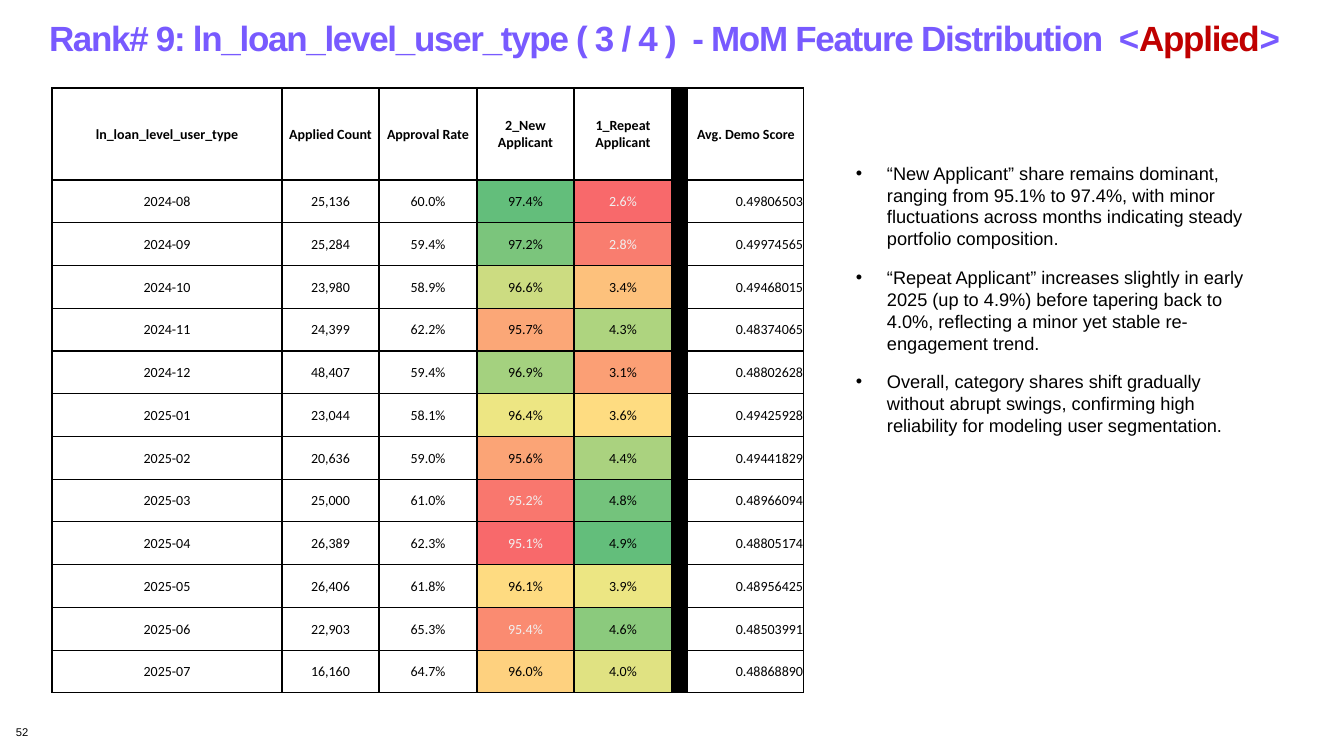
from lxml import etree
from pptx import Presentation
from pptx.dml.color import RGBColor
from pptx.enum.text import MSO_ANCHOR, MSO_AUTO_SIZE, PP_ALIGN
from pptx.oxml.ns import qn
from pptx.util import Pt

PX = 914400 / 100.8
TOP, MIDDLE = MSO_ANCHOR.TOP, MSO_ANCHOR.MIDDLE
LEFT, CENTER, RIGHT = PP_ALIGN.LEFT, PP_ALIGN.CENTER, PP_ALIGN.RIGHT
NO_FIT = MSO_AUTO_SIZE.NONE
BLACK, PALE, VIOLET, RED = "000000", "F1F1F1", "785AFF", "C00000"


def px(length):
    return round(length * PX)


def style(font, size, color, name="Arial", bold=False):
    for attribute, value in {"size": Pt(size), "name": name, "bold": bold}.items():
        setattr(font, attribute, value)
    font.color.rgb = RGBColor.from_string(color)


prs = Presentation()
prs.slide_width, prs.slide_height = px(1344), px(756)
slide = prs.slides.add_slide(prs.slide_layouts[1])
heading, findings = slide.placeholders
page_number = slide.shapes.add_textbox(0, 0, 0, 0)

for box, bounds, insets in (
    (heading, (49, 12, 1294, 51), (0, 0)),
    (findings, (846, 157, 423, 286), (10, 5)),
    (page_number, (16, 725, 294, 25), (0, 0)),
):
    box.left, box.top, box.width, box.height = map(px, bounds)
    frame = box.text_frame
    frame.word_wrap, frame.auto_size, frame.vertical_anchor = True, NO_FIT, TOP
    frame.margin_left = frame.margin_right = px(insets[0])
    frame.margin_top = frame.margin_bottom = px(insets[1])

# Heading
heading_line = heading.text_frame.paragraphs[0]
heading_line.alignment, heading_line.line_spacing = LEFT, 1.1
for words, color in (
    ("Rank# 9: ln_loan_level_user_type ( 3 / 4 )  - MoM Feature Distribution  <", VIOLET),
    ("Applied", RED),
    (">", VIOLET),
):
    run = heading_line.add_run()
    run.text = words
    style(run.font, 25, color, bold=True)
    run.font._element.set("spc", "-90")

# Findings
FINDINGS = (
    "“New Applicant” share remains dominant, ranging from 95.1% to 97.4%, with minor "
    "fluctuations across months indicating steady portfolio composition.",
    "“Repeat Applicant” increases slightly in early 2025 (up to 4.9%) before tapering back "
    "to 4.0%, reflecting a minor yet stable re-engagement trend.",
    "Overall, category shares shift gradually without abrupt swings, confirming high "
    "reliability for modeling user segmentation.",
)
findings.text_frame.text = "\n".join(FINDINGS)
for finding in findings.text_frame.paragraphs:
    properties = finding._p.get_or_add_pPr()
    properties.set("marL", str(px(31)))
    properties.set("indent", str(-px(31)))
    etree.SubElement(properties, qn("a:buFont"), typeface="Arial")
    etree.SubElement(properties, qn("a:buChar"), char="•")
    finding.space_before, finding.space_after = Pt(0), Pt(12)
    style(finding.font, 13, BLACK)

page_number.text_frame.text = "52"
style(page_number.text_frame.paragraphs[0].font, 8, BLACK)

# Monthly distribution table
HEADERS = ("ln_loan_level_user_type", "Applied Count", "Approval Rate",
           "2_New Applicant", "1_Repeat Applicant", "", "Avg. Demo Score")
# month, applied, approval, new share, repeat share, score, new fill, repeat fill
MONTHS = (
    ("2024-08", "25,136", "60.0%", "97.4%", "2.6%", "0.49806503", "63BE7B", "F8696B"),
    ("2024-09", "25,284", "59.4%", "97.2%", "2.8%", "0.49974565", "7BC57C", "F97D6F"),
    ("2024-10", "23,980", "58.9%", "96.6%", "3.4%", "0.49468015", "CCDC81", "FDC17C"),
    ("2024-11", "24,399", "62.2%", "95.7%", "4.3%", "0.48374065", "FBA777", "AED47F"),
    ("2024-12", "48,407", "59.4%", "96.9%", "3.1%", "0.48802628", "A4D17F", "FB9F75"),
    ("2025-01", "23,044", "58.1%", "96.4%", "3.6%", "0.49425928", "EDE683", "FEDC81"),
    ("2025-02", "20,636", "59.0%", "95.6%", "4.4%", "0.49441829", "FBA476", "AAD27F"),
    ("2025-03", "25,000", "61.0%", "95.2%", "4.8%", "0.48966094", "F9776E", "74C37C"),
    ("2025-04", "26,389", "62.3%", "95.1%", "4.9%", "0.48805174", "F8696B", "63BE7B"),
    ("2025-05", "26,406", "61.8%", "96.1%", "3.9%", "0.48956425", "FEDB81", "ECE683"),
    ("2025-06", "22,903", "65.3%", "95.4%", "4.6%", "0.48503991", "FA8B71", "8BCA7D"),
    ("2025-07", "16,160", "64.7%", "96.0%", "4.0%", "0.48868890", "FED17F", "E0E282"),
)
COLUMN_WIDTHS = (230, 97, 98, 97, 98, 16, 116)
HEADER_HEIGHT, MONTHS_HEIGHT = 92, 513
NEW, REPEAT, DIVIDER, SCORE = 3, 4, 5, 6

distribution = slide.shapes.add_table(
    len(MONTHS) + 1, len(HEADERS), px(52), px(88),
    px(sum(COLUMN_WIDTHS)), px(HEADER_HEIGHT + MONTHS_HEIGHT)).table
distribution.first_row = distribution.horz_banding = False
for column, width in zip(distribution.columns, COLUMN_WIDTHS):
    column.width = px(width)
for row in distribution.rows:
    row.height = px(MONTHS_HEIGHT) // len(MONTHS)
distribution.rows[0].height = px(HEADER_HEIGHT)

rows = [(HEADERS, {DIVIDER: BLACK})]
for *values, score, new_fill, repeat_fill in MONTHS:
    rows.append(((*values, "", score),
                 {NEW: new_fill, REPEAT: repeat_fill, DIVIDER: BLACK}))

for r, (values, fills) in enumerate(rows):
    for c, value in enumerate(values):
        cell = distribution.cell(r, c)
        cell.vertical_anchor = MIDDLE
        cell.margin_left = cell.margin_right = cell.margin_top = px(1)
        cell.margin_bottom = 0
        for side in ("lnL", "lnR", "lnT", "lnB"):
            border = etree.SubElement(cell._tc.tcPr, qn(f"a:{side}"), w=str(Pt(1)))
            etree.SubElement(etree.SubElement(border, qn("a:solidFill")),
                             qn("a:srgbClr"), val=BLACK)
        fill = fills.get(c)
        if fill:
            cell.fill.solid()
            cell.fill.fore_color.rgb = RGBColor.from_string(fill)
        else:
            cell.fill.background()
        if value:
            cell.text = value
            entry = cell.text_frame.paragraphs[0]
            entry.alignment = RIGHT if r and c == SCORE else CENTER
            on_red = fill and fill[:2] in ("F8", "F9", "FA")
            style(entry.runs[0].font, 10, PALE if on_red else BLACK, "Calibri", r == 0)

prs.save("out.pptx")
